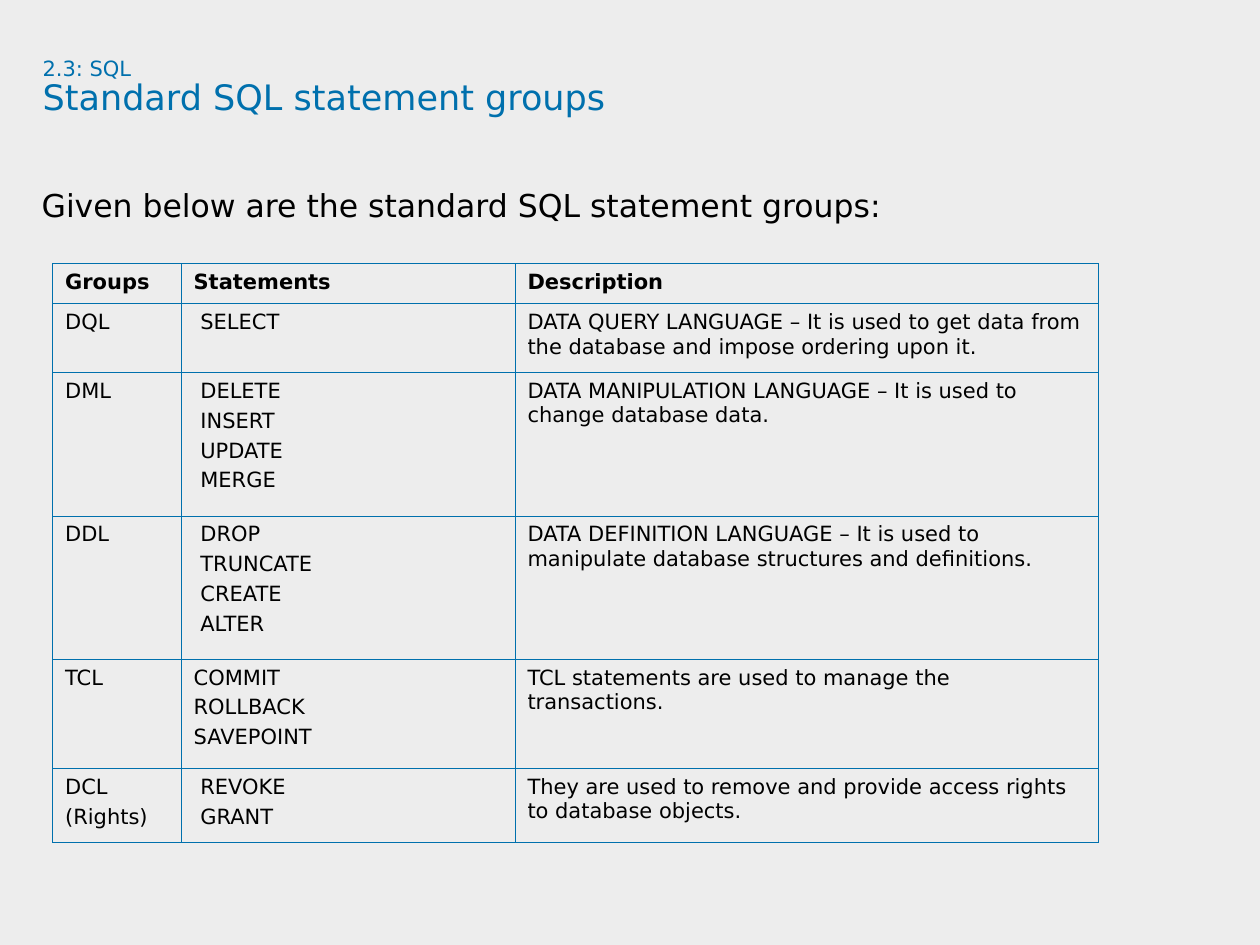
from lxml.etree import SubElement as Sub
from pptx import Presentation
from pptx.dml.color import RGBColor as Rgb
from pptx.enum.text import MSO_ANCHOR as Anchor
from pptx.oxml.ns import qn
from pptx.util import Cm, Pt

THEME = {
    "font": "DejaVu Sans",
    "back": Rgb.from_string("EDEDED"),
    "blue": Rgb.from_string("0070AD"),
    "ink": Rgb.from_string("000000"),
    "small": Pt(12),
    "lead": Pt(18),
    "title": Pt(20),
    "line": Pt(0.45),
}

TITLE = ("2.3: SQL", "Standard SQL statement groups")
LEAD = "Given below are the standard SQL statement groups:"
HEAD = ("Groups", "Statements", "Description")
ROWS = [
    ("DQL", "SELECT", "DATA QUERY LANGUAGE – It is used to get data from "
     "the database and impose ordering upon it."),
    ("DML", "DELETE\nINSERT\nUPDATE\nMERGE",
     "DATA MANIPULATION LANGUAGE – It is used to change database data."),
    ("DDL", "DROP\nTRUNCATE\nCREATE\nALTER", "DATA DEFINITION LANGUAGE – It is "
     "used to manipulate database structures and definitions."),
    ("TCL", "COMMIT\nROLLBACK\nSAVEPOINT",
     "TCL statements are used to manage the transactions."),
    ("DCL\n(Rights)", "REVOKE\nGRANT", "They are used to remove and provide "
     "access rights to database objects."),
]
WIDTHS = (2.59, 6.73, 11.76)
HEIGHTS = (0.81, 1.39, 2.89, 2.89, 2.2, 1.5)
INDENTED = {"DQL", "DML", "DDL", "DCL\n(Rights)"}


def style(font, size, color, bold=False):
    """Set the face, size, colour and weight of a font."""
    font.name, font.size, font.bold = THEME["font"], size, bold
    font.color.rgb = color


def setup(frame):
    """Make a text frame wrap, start at the top and have no margins."""
    frame.word_wrap = True
    frame.vertical_anchor = Anchor.TOP
    frame.margin_left = frame.margin_right = 0
    frame.margin_top = frame.margin_bottom = 0


def border(cell):
    """Draw a thin line on all four sides of a cell."""
    props = cell._tc.get_or_add_tcPr()
    for pos, side in enumerate(("a:lnL", "a:lnR", "a:lnT", "a:lnB")):
        line = props.makeelement(qn(side), {"w": str(int(THEME["line"]))})
        fill = Sub(line, qn("a:solidFill"))
        Sub(fill, qn("a:srgbClr"), val=str(THEME["blue"]))
        props.insert(pos, line)


def add_title(slide):
    """Add the section number and the title under it."""
    box = slide.shapes.add_textbox(Cm(0.86), Cm(1.17), Cm(23.09), Cm(2.39))
    setup(box.text_frame)
    para = box.text_frame.paragraphs[0]
    para.text = "\v".join(TITLE)
    para.line_spacing = 0.9
    for run, size in zip(para.runs, (THEME["small"], THEME["title"])):
        style(run.font, size, THEME["blue"])


def add_lead(slide):
    """Add the sentence that leads into the table."""
    box = slide.shapes.add_textbox(Cm(0.84), Cm(3.94), Cm(24.56), Cm(12.9))
    setup(box.text_frame)
    para = box.text_frame.paragraphs[0]
    para.text = LEAD
    para.line_spacing, para.space_after = Pt(16.5), Pt(4.5)
    style(para.runs[0].font, THEME["lead"], THEME["ink"])


def add_grid(slide):
    """Add the table of statement groups."""
    data = [HEAD, *ROWS]
    table = slide.shapes.add_table(
        len(data), len(HEAD), Cm(1.06), Cm(5.31),
        Cm(sum(WIDTHS)), Cm(sum(HEIGHTS))).table
    table.horz_banding = False
    for col, width in zip(table.columns, WIDTHS):
        col.width = Cm(width)
    for row, height, texts in zip(table.rows, HEIGHTS, data):
        row.height = Cm(height)
        for pos, (cell, text) in enumerate(zip(row.cells, texts)):
            cell.text_frame.text = text
            cell.fill.background()
            border(cell)
            if pos == 1 and texts[0] in INDENTED:
                cell.margin_left = Cm(0.39)
            for num, para in enumerate(cell.text_frame.paragraphs):
                para.space_before = Pt(3 if num else 0)
                style(para.runs[0].font, THEME["small"], THEME["ink"],
                      texts is HEAD)


def main():
    """Build the slide and save it."""
    deck = Presentation()
    deck.slide_width, deck.slide_height = Cm(25.4), Cm(19.05)
    slide = deck.slides.add_slide(deck.slide_layouts[6])
    slide.background.fill.solid()
    slide.background.fill.fore_color.rgb = THEME["back"]
    add_title(slide)
    add_lead(slide)
    add_grid(slide)
    deck.save("out.pptx")


if __name__ == "__main__":
    main()
